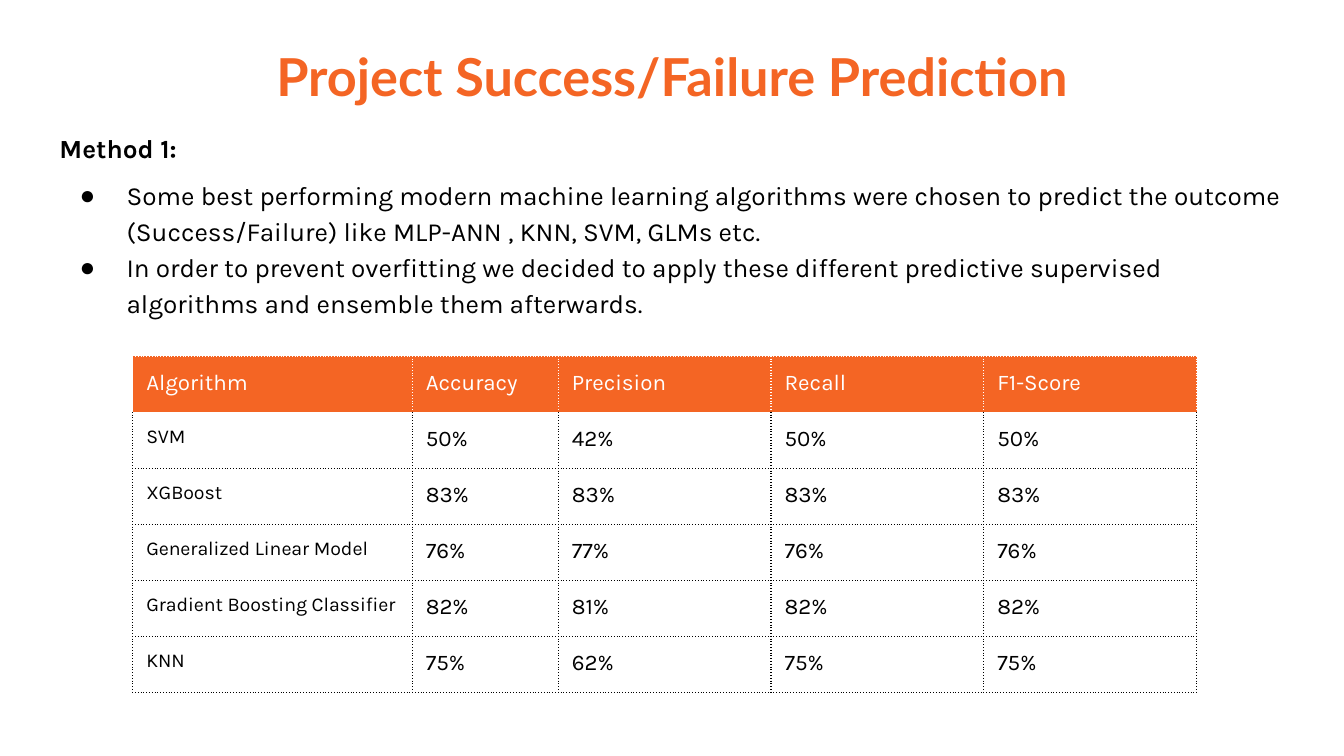
import pptx
import pptx.util
import pptx.dml.color
import pptx.enum.text
import pptx.oxml.ns
import lxml.etree

WIDE = pptx.util.Inches(10)
HIGH = pptx.util.Emu(WIDE * 9 // 16)
HUES = {"brand": "F46524", "ink": "000000", "paper": "FFFFFF"}
TITLE = "Project Success/Failure Prediction"
LEAD = "Method 1:"
POINTS = [
    "Some best performing modern machine learning algorithms were chosen to predict "
    "the outcome (Success/Failure) like MLP-ANN , KNN, SVM, GLMs etc.",
    "In order to prevent overfitting we decided to apply these different predictive "
    "supervised algorithms and ensemble them afterwards.",
]
SCORES = [
    ["Algorithm", "Accuracy", "Precision", "Recall", "F1-Score"],
    ["SVM", "50%", "42%", "50%", "50%"],
    ["XGBoost", "83%", "83%", "83%", "83%"],
    ["Generalized Linear Model", "76%", "77%", "76%", "76%"],
    ["Gradient Boosting Classifier", "82%", "81%", "82%", "82%"],
    ["KNN", "75%", "62%", "75%", "75%"],
]
COLS = [20.8, 10.87, 15.83, 15.83, 15.83]
ROW = 7.41
PAD = pptx.util.Inches(0.1)
INSETS = {"margin_" + side: PAD for side in ("left", "top", "right", "bottom")}


def across(share):
    return round(WIDE * share / 100)


def down(share):
    return round(HIGH * share / 100)


def apply(item, looks):
    for name, value in looks.items():
        setattr(item, name, value)


def color(hue):
    return pptx.dml.color.RGBColor.from_string(HUES[hue])


def add_node(parent, tag, **looks):
    return lxml.etree.SubElement(parent, pptx.oxml.ns.qn(tag), looks)


def write(para, text, face, size, hue, bold=False):
    run = para.add_run()
    run.text = text
    apply(run.font, {"name": face, "size": pptx.util.Pt(size), "bold": bold})
    run.font.color.rgb = color(hue)


def place(shape, left, top, width, height, anchor):
    apply(shape, {"left": across(left), "top": down(top),
                  "width": across(width), "height": down(height)})
    apply(shape.text_frame, {
        **INSETS, "word_wrap": True, "vertical_anchor": anchor,
        "auto_size": pptx.enum.text.MSO_AUTO_SIZE.NONE})
    return shape.text_frame


def add_title(slide):
    frame = place(slide.shapes.title, 11.74, 2, 76.5, 13.87,
                  pptx.enum.text.MSO_ANCHOR.BOTTOM)
    para = frame.paragraphs[0]
    para.alignment = pptx.enum.text.PP_ALIGN.CENTER
    write(para, TITLE, "Lato", 28, "brand", True)


def set_bullet(para, marked):
    props = para._p.get_or_add_pPr()
    inset = pptx.util.Inches(0.5 if marked else 0)
    hang = pptx.util.Inches(-0.35 if marked else 0)
    props.set("marL", str(inset))
    props.set("indent", str(hang))
    if marked:
        tint = add_node(props, "a:buClr")
        add_node(tint, "a:srgbClr", val=HUES["ink"])
        add_node(props, "a:buChar", char="●")
    else:
        add_node(props, "a:buNone")


def add_list(slide):
    frame = place(slide.placeholders[1], 3.42, 15.11, 93.2, 29.51,
                  pptx.enum.text.MSO_ANCHOR.TOP)
    for index, text in enumerate([LEAD] + POINTS):
        para = frame.add_paragraph() if index else frame.paragraphs[0]
        before = 6 if index < 2 else 0
        apply(para, {"line_spacing": 1.15, "space_before": pptx.util.Pt(before),
                     "alignment": pptx.enum.text.PP_ALIGN.LEFT})
        set_bullet(para, index > 0)
        write(para, text, "Karla", 14, "ink", index == 0)


def set_edges(cell, hues):
    props = cell._tc.get_or_add_tcPr()
    for side, hue in hues.items():
        line = add_node(props, "a:ln" + side, w=str(pptx.util.Pt(0.75)))
        fill = add_node(line, "a:solidFill")
        add_node(fill, "a:srgbClr", val=HUES[hue])
        add_node(line, "a:prstDash", val="dot")


def fill_cell(cell, text, row, col):
    head = row == 0
    apply(cell, INSETS)
    edge = "paper" if head else "ink"
    hues = dict.fromkeys("LRTB", edge)
    if row == 1:
        hues["T"] = "paper"
    set_edges(cell, hues)
    if head:
        cell.fill.solid()
        cell.fill.fore_color.rgb = color("brand")
    else:
        cell.fill.background()
    size = 12 if head or col else 10.5
    write(cell.text_frame.paragraphs[0], text, "Karla", size,
          "paper" if head else "ink")


def add_scores(slide):
    count = len(SCORES)
    table = slide.shapes.add_table(
        count, len(COLS), across(9.88), down(47.15),
        across(sum(COLS)), down(ROW * count)).table
    apply(table, {"first_row": False, "horz_banding": False})
    for column, share in zip(table.columns, COLS):
        column.width = across(share)
    for row, texts in enumerate(SCORES):
        table.rows[row].height = down(ROW)
        for col, text in enumerate(texts):
            fill_cell(table.cell(row, col), text, row, col)


def main():
    deck = pptx.Presentation()
    apply(deck, {"slide_width": WIDE, "slide_height": HIGH})
    slide = deck.slides.add_slide(deck.slide_layouts[1])
    add_title(slide)
    add_list(slide)
    add_scores(slide)
    deck.save("out.pptx")


if __name__ == "__main__":
    main()
